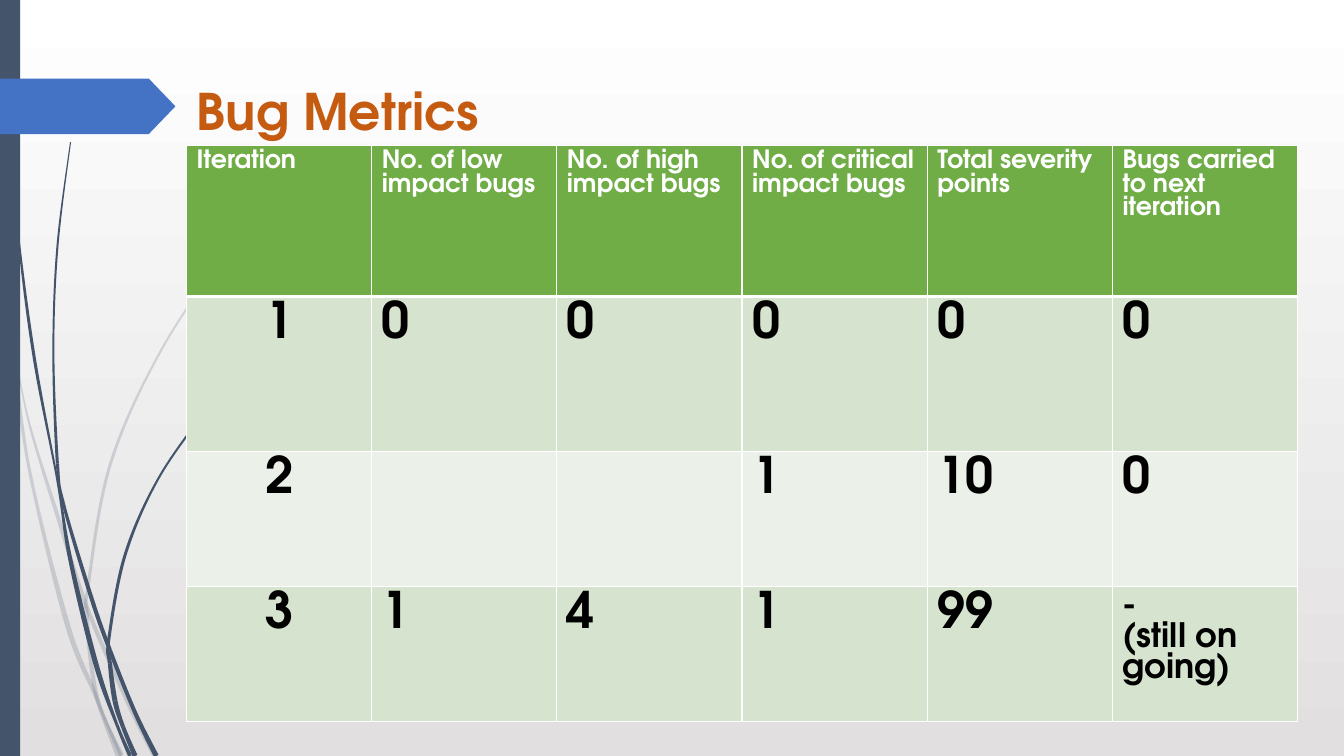
from dataclasses import dataclass
from math import hypot

from lxml import etree
from pptx import Presentation
from pptx import util as u
from pptx.dml.color import RGBColor
from pptx.enum import shapes, text
from pptx.oxml import ns


@dataclass(frozen=True)
class Theme:
    font: str = "TeX Gyre Adventor"
    white: str = "FFFFFF"
    black: str = "000000"
    background_end: str = "E1DFDF"
    slate: str = "44546A"
    blue: str = "4472C4"
    title: str = "C55A11"
    header: str = "70AD47"
    bands: tuple = ("D5E3CF", "EBF1E9")
    large: int = 36
    medium: int = 24
    small: int = 18


THEME = Theme()
WIDTH, HEIGHT = 13.33, 7.5
CONTENT_LEFT = 1.85
TABLE_TOP, TABLE_WIDTH = 1.44, 11.02
ROW_HEIGHTS = (1.5, 1.54, 1.34, 1.34)
UNITS_PER_INCH = 1000

HEADINGS = ("Iteration", "No. of low impact bugs", "No. of high impact bugs",
            "No. of critical impact bugs", "Total severity points",
            "Bugs carried to next iteration")
ITERATIONS = (
    ("1", "0", "0", "0", "0", "0"),
    ("2", "", "", "1", "10", "0"),
    ("3", "1", "4", "1", "99", "-\n(still on going)"),
)

# Each stem: the knots where it is cut, then knots of x, y, thickness.
PALE_STEMS = (
    ((1, 4, 5),
     ((0, 2.9, .03), (.13, 3.55, .04), (.3, 4.7, .03), (.67, 6.2, .05),
      (.94, 6.88, .04), (1.03, 7.13, .04), (1.19, 7.5, .08))),
    ((3,),
     ((.14, 3.45, .01), (.29, 4.2, .02), (.6, 5.21, .04), (.86, 6.02, .04),
      (1.25, 6.93, .04), (1.53, 7.5, .04))),
    ((5, 6, 9),
     ((3.12, 1.53, .01), (2.68, 1.98, .01), (2.28, 2.45, .02),
      (1.59, 3.49, .02), (1.09, 4.62, .03), (.87, 5.84, .03),
      (.86, 6.08, .04), (.89, 6.46, .04), (.95, 6.87, .04),
      (1.04, 7.13, .03), (1.2, 7.5, .03))),
)
DARK_STEMS = (
    ((4, 7),
     ((.03, 0, .01), (.07, 1.1, .01), (.18, 2.33, .02), (.34, 3.55, .03),
      (.57, 4.77, .02), (.7, 5.56, .04), (.95, 6.58, .05),
      (1.16, 7.19, .03), (1.29, 7.5, .04))),
    ((3, 4, 6),
     ((.7, 1.41, .01), (.57, 2.45, .02), (.53, 3.49, .02),
      (.57, 4.6, .03), (.63, 5, .03), (.9, 5.91, .04),
      (1.09, 6.45, .04), (1.34, 7.07, .04), (1.55, 7.5, .05))),
    ((5, 6, 7, 8),
     ((2.61, 3.44, .01), (2.31, 3.74, .01), (2.05, 4.06, .02),
      (1.57, 4.75, .02), (1.24, 5.51, .03), (1.08, 6.34, .03),
      (1.09, 6.58, .04), (1.14, 6.95, .05), (1.22, 7.21, .04),
      (1.34, 7.5, .05))),
)


def rgb(value):
    return RGBColor.from_string(value)


def fill_solid(shape, color):
    shape.fill.solid()
    shape.fill.fore_color.rgb = rgb(color)
    shape.line.fill.background()
    shape.shadow.inherit = False


def stem_sides(knots):
    """Set the two edges off from the centre line, square to it."""
    left, right = [], []
    for index, (x, y, thickness) in enumerate(knots):
        before = knots[max(index - 1, 0)]
        after = knots[min(index + 1, len(knots) - 1)]
        run, rise = after[0] - before[0], after[1] - before[1]
        scale = thickness / 2 / hypot(run, rise)
        left.append((x - rise * scale, y + run * scale))
        right.append((x + rise * scale, y - run * scale))
    return left, right


def curve_through(points):
    """Give each span its two control points and its end point."""
    padded = (points[0], *points, points[-1])
    return [[tuple(p + (n - o) / 6 for p, n, o in zip(b, c, a)),
             tuple(p - (n - o) / 6 for p, n, o in zip(c, d, b)), c]
            for a, b, c, d in zip(padded, padded[1:], padded[2:], padded[3:])]


def add_outline(slide, start, spans, opacity):
    units = [[round(value * UNITS_PER_INCH) for value in point]
             for point in (start, *(point for span in spans for point in span))]
    builder = slide.shapes.build_freeform(
        *units[0], scale=u.Inches(1) / UNITS_PER_INCH)
    builder.add_line_segments(units[1:], close=True)
    piece = builder.convert_to_shape()
    lines = list(piece._element.iter(ns.qn("a:lnTo")))
    for first in range(0, len(lines), 3):
        curve = etree.Element(ns.qn("a:cubicBezTo"))
        lines[first].addprevious(curve)
        for line in lines[first:first + 3]:
            curve.append(line[0])
            line.getparent().remove(line)
    fill_solid(piece, THEME.slate)
    if opacity < 100:
        color = piece.fill._xPr.find(".//" + ns.qn("a:srgbClr"))
        etree.SubElement(color, ns.qn("a:alpha"), val=str(opacity * 1000))


def add_stem(slide, cuts, knots, opacity=100):
    left, right = stem_sides(knots)
    down, up = curve_through(left), curve_through(right[::-1])
    last = len(knots) - 1
    for begin, end in zip((0, *cuts), (*cuts, last)):
        top, bottom = right[begin], right[end]
        spans = [*down[begin:end], [left[end], bottom, bottom],
                 *up[last - end:last - begin], [top, left[begin], left[begin]]]
        add_outline(slide, left[begin], spans, opacity)


def add_block(slide, kind, color, left, top, width, height):
    block = slide.shapes.add_shape(
        kind, *(u.Inches(length) for length in (left, top, width, height)))
    fill_solid(block, color)
    return block


def set_background(slide):
    fill = slide.background.fill
    fill.gradient()
    fill.gradient_angle = 270
    for stop, color in zip(fill.gradient_stops,
                           (THEME.white, THEME.background_end)):
        stop.color.rgb = rgb(color)


def style_paragraph(paragraph, size, color):
    font = paragraph.font
    font.name, font.size, font.bold = THEME.font, u.Pt(size), True
    font.color.rgb = rgb(color)


def set_title(slide, wording):
    title = slide.shapes.title
    title.left, title.top = u.Inches(CONTENT_LEFT), u.Inches(.74)
    title.width, title.height = u.Inches(9.75), u.Inches(1.4)
    frame = title.text_frame
    frame.text = wording
    frame.vertical_anchor = text.MSO_ANCHOR.TOP
    frame.auto_size = text.MSO_AUTO_SIZE.NONE
    frame.paragraphs[0].alignment = text.PP_ALIGN.LEFT
    style_paragraph(frame.paragraphs[0], THEME.large, THEME.title)


def set_borders(cell, top, bottom):
    properties = cell._tc.get_or_add_tcPr()
    for side, width in zip("LRTB", (1, 1, top, bottom)):
        line = etree.SubElement(properties, ns.qn("a:ln" + side),
                                w=str(u.Pt(width)))
        fill = etree.SubElement(line, ns.qn("a:solidFill"))
        etree.SubElement(fill, ns.qn("a:srgbClr"), val=THEME.white)


def fill_cell(cell, wording, row, column):
    set_borders(cell, 3 if row == 1 else 1, 3 if row == 0 else 1)
    cell.fill.solid()
    cell.fill.fore_color.rgb = rgb(
        THEME.bands[(row - 1) % 2] if row else THEME.header)
    cell.text = wording
    body_size = THEME.medium if "\n" in wording else THEME.large
    size, color = ((body_size, THEME.black) if row
                   else (THEME.small, THEME.white))
    for paragraph in cell.text_frame.paragraphs:
        if row and column == 0:
            paragraph.alignment = text.PP_ALIGN.CENTER
        style_paragraph(paragraph, size, color)


def add_metrics_table(slide):
    rows = (HEADINGS, *ITERATIONS)
    table = slide.shapes.add_table(
        len(rows), len(HEADINGS), u.Inches(CONTENT_LEFT), u.Inches(TABLE_TOP),
        u.Inches(TABLE_WIDTH), u.Inches(sum(ROW_HEIGHTS))).table
    for row, (height, wordings) in enumerate(zip(ROW_HEIGHTS, rows)):
        table.rows[row].height = u.Inches(height)
        for column, wording in enumerate(wordings):
            fill_cell(table.cell(row, column), wording, row, column)


def main():
    presentation = Presentation()
    presentation.slide_width = u.Inches(WIDTH)
    presentation.slide_height = u.Inches(HEIGHT)
    slide = presentation.slides.add_slide(presentation.slide_layouts[5])
    set_background(slide)
    for stems, opacity in ((PALE_STEMS, 20), (DARK_STEMS, 100)):
        for cuts, knots in stems:
            add_stem(slide, cuts, knots, opacity)
    add_block(slide, shapes.MSO_SHAPE.RECTANGLE, THEME.slate, 0, 0, .2, HEIGHT)
    marker = add_block(slide, shapes.MSO_SHAPE.PENTAGON, THEME.blue,
                       0, .78, 1.74, .55)
    marker.adjustments[0] = .48
    set_title(slide, "Bug Metrics")
    add_metrics_table(slide)
    presentation.save("out.pptx")


if __name__ == "__main__":
    main()
